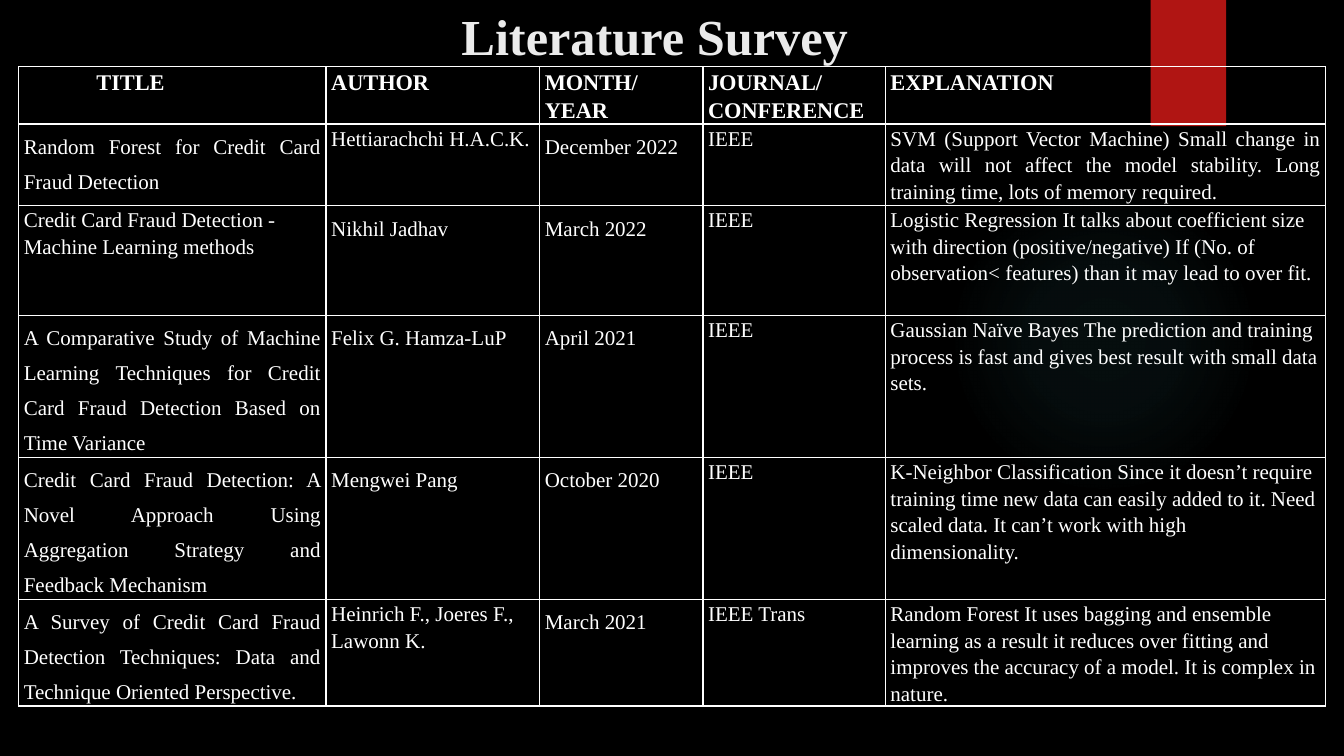
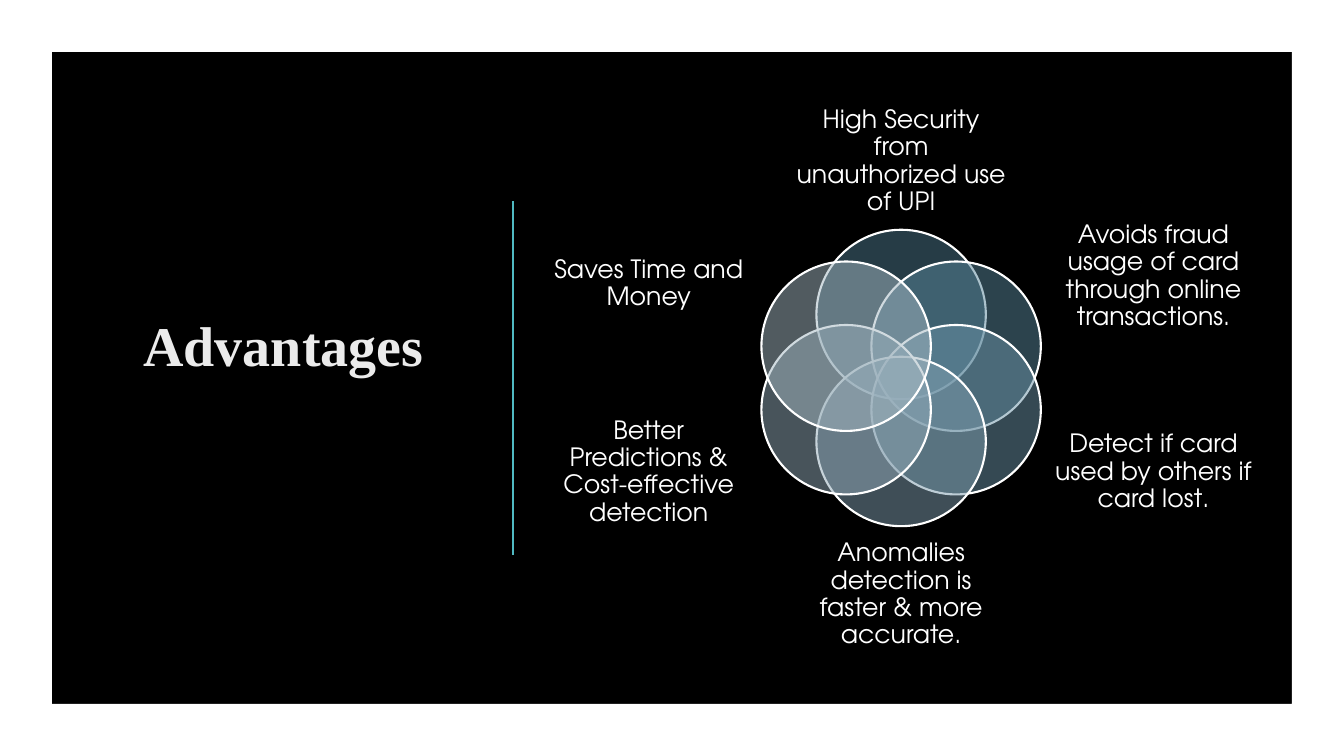
"""Build two slides on card fraud: a survey table and a ring of gains."""
from math import cos, radians, sin

from pptx import Presentation
from pptx.dml.color import RGBColor
from pptx.enum.shapes import MSO_CONNECTOR, MSO_SHAPE
from pptx.enum.text import MSO_ANCHOR, PP_ALIGN
from pptx.oxml import parse_xml
from pptx.util import Cm, Pt

LEFT, MID, FULL = PP_ALIGN.LEFT, PP_ALIGN.CENTER, PP_ALIGN.JUSTIFY
MIDDLE = MSO_ANCHOR.MIDDLE
OVAL, RECT = MSO_SHAPE.OVAL, MSO_SHAPE.RECTANGLE
STRAIGHT = MSO_CONNECTOR.STRAIGHT
NS = 'xmlns:a="http://schemas.openxmlformats.org/drawingml/2006/main"'

WIDE, HIGH = 33.87, 19.05
BLACK, WHITE, PALE = "000000", "FFFFFF", "EBEBEB"
TEAL, RED = "50B9C1", "B01513"
SERIF, SANS = "Times New Roman", "TeX Gyre Adventor"

COLS = [305, 212, 162, 181, 437]
ROWS = [57, 81, 109, 141, 141, 105]
SURVEY = [
    ("TITLE", "AUTHOR", "MONTH/\nYEAR", "JOURNAL/\nCONFERENCE", "EXPLANATION"),
    ("Random Forest for Credit Card Fraud Detection",
     "Hettiarachchi H.A.C.K.", "December 2022", "IEEE",
     "SVM (Support Vector Machine) Small change in data will not affect the "
     "model stability. Long training time, lots of memory required."),
    ("Credit Card Fraud Detection - Machine Learning methods",
     "Nikhil Jadhav", "March 2022", "IEEE",
     "Logistic Regression It talks about coefficient size with direction "
     "(positive/negative) If (No. of observation< features) than it may lead "
     "to over fit."),
    ("A Comparative Study of Machine Learning Techniques for Credit Card "
     "Fraud Detection Based on Time Variance",
     "Felix G. Hamza-LuP", "April 2021", "IEEE",
     "Gaussian Naïve Bayes The prediction and training process is fast and "
     "gives best result with small data sets."),
    ("Credit Card Fraud Detection: A Novel Approach Using Aggregation "
     "Strategy and Feedback Mechanism",
     "Mengwei Pang", "October 2020", "IEEE",
     "K-Neighbor Classification Since it doesn’t require training time new "
     "data can easily added to it. Need scaled data. It can’t work with high "
     "dimensionality."),
    ("A Survey of Credit Card Fraud Detection Techniques: Data and Technique "
     "Oriented Perspective.",
     "Heinrich F., Joeres F., Lawonn K.", "March 2021", "IEEE Trans",
     "Random Forest It uses bagging and ensemble learning as a result it "
     "reduces over fitting and improves the accuracy of a model. It is "
     "complex in nature."),
]
LOOSE = {0: (1, 3, 4, 5), 1: (2, 3, 4), 2: (1, 2, 3, 4, 5)}
HEAD_GAP, CELL_GAP, LOOSE_GAP = Pt(20.3), Pt(19), Pt(24.9)

GAINS = [
    ("High Security from unauthorized use of UPI",
     "4C788C", 0, -5.46, 5.33),
    ("Avoids fraud usage of card through online transactions.",
     "59869B", 6.36, -2.56, 5.05),
    ("Detect if card used by others if card lost.",
     "6A92A6", 6.36, 2.37, 5.05),
    ("Anomalies detection is faster & more accurate.",
     "7E9DAE", 0, 5.46, 5.33),
    ("Better Predictions & Cost-effective detection",
     "91A9B7", -6.36, 2.37, 5.05),
    ("Saves Time and Money",
     "A3B6C0", -6.36, -2.38, 5.05),
]


def paint(fill, tone):
    """Fill with a solid hex colour."""
    fill.solid()
    fill.fore_color.rgb = RGBColor.from_string(tone)


def cast(box):
    """Turn a box in centimetres into lengths."""
    return [Cm(side) for side in box]


def write(frame, text, font, size, tone, bold=False, align=LEFT, space=1.0):
    """Set the text of a frame and format its runs."""
    frame.text = text
    for line in frame.paragraphs:
        line.alignment = align
        line.line_spacing = space
        for run in line.runs:
            run.font.name = font
            run.font.size = Pt(size)
            run.font.bold = bold
            paint(run.font.fill, tone)


def add_text(shapes, box, text, inset=0, **look):
    """Place a wrapping text box with a given left inset."""
    frame = shapes.add_textbox(*cast(box)).text_frame
    frame.word_wrap = True
    frame.vertical_anchor = MIDDLE
    frame.margin_left = Cm(inset)
    frame.margin_right = frame.margin_top = frame.margin_bottom = 0
    write(frame, text, **look)


def add_title(slide, box, text, size, **place):
    """Place a slide title in the shared style."""
    add_text(slide.shapes, box, text, font=SERIF, size=size,
             tone=PALE, bold=True, **place)


def add_form(shapes, kind, box, tone):
    """Place a plain shape without line or shadow."""
    form = shapes.add_shape(kind, *cast(box))
    form.shadow.inherit = False
    paint(form.fill, tone)
    form.line.fill.background()
    return form


def find_fill(form):
    """Return the solid fill element of a shape."""
    return form.element.spPr.find("{*}solidFill")


def add_glow(slide, box):
    """Place a faint round glow that fades outward."""
    fill = find_fill(add_form(slide.shapes, OVAL, box, TEAL))
    stops = "".join(
        f'<a:gs pos="{spot}000"><a:srgbClr val="{TEAL}">'
        f'<a:alpha val="{alpha}000"/></a:srgbClr></a:gs>'
        for spot, alpha in [(0, 7), (36, 6), (69, 0), (100, 0)])
    fill.getparent().replace(fill, parse_xml(
        f'<a:gradFill {NS}><a:gsLst>{stops}</a:gsLst><a:path path="circle">'
        '<a:fillToRect l="50000" t="50000" r="50000" b="50000"/>'
        '</a:path></a:gradFill>'))


def rule_cell(cell):
    """Draw white borders round a clear cell."""
    props = cell._tc.get_or_add_tcPr()
    for side in "LRTB":
        props.append(parse_xml(
            f'<a:ln{side} {NS} w="12700"><a:solidFill>'
            f'<a:srgbClr val="{WHITE}"/></a:solidFill></a:ln{side}>'))
    cell.fill.background()


def add_survey(slide, box):
    """Place the survey table, sharing out the box by row and column."""
    table = slide.shapes.add_table(len(ROWS), len(COLS), *cast(box)).table
    table.first_row = table.horz_banding = False
    for col, share in zip(table.columns, COLS):
        col.width = Cm(box[2] * share / sum(COLS))
    for row, share in zip(table.rows, ROWS):
        row.height = Cm(box[3] * share / sum(ROWS))
    for i, texts in enumerate(SURVEY):
        for j, text in enumerate(texts):
            cell = table.cell(i, j)
            cell.margin_left = Cm(1.96 if i == j == 0 else 0.13)
            cell.margin_right = Cm(0.13)
            cell.margin_top = cell.margin_bottom = 0
            loose = i in LOOSE.get(j, ())
            spread = loose or (i, j) == (1, 4)
            tight = CELL_GAP if i else HEAD_GAP
            write(cell.text_frame, text, SERIF, 15 if i else 16, WHITE,
                  bold=i == 0, align=FULL if spread else LEFT,
                  space=LOOSE_GAP if loose else tight)
            rule_cell(cell)


def add_frame(slide, box, edge):
    """Place a white frame of even width inside the box."""
    x, y, w, h = box
    l, t, r, b = cast((x, y, x + w, y + h))
    pen = slide.shapes.build_freeform(l, t)
    pen.add_line_segments([(l, b), (r, b), (r, t)])
    l, t, r, b = cast((x + edge, y + edge, x + w - edge, y + h - edge))
    pen.move_to(r, b)
    pen.add_line_segments([(l, b), (l, t), (r, t)])
    form = pen.convert_to_shape()
    form.shadow.inherit = False
    paint(form.fill, WHITE)
    form.line.fill.background()


def add_rule(slide, box):
    """Place a teal line down the left edge of the box."""
    x, y, _, h = box
    rule = slide.shapes.add_connector(STRAIGHT, *cast((x, y, x, y + h)))
    rule.line.width = Pt(1.5)
    paint(rule.line.fill, TEAL)
    rule.element.spPr.append(parse_xml(f"<a:effectLst {NS}/>"))


def add_ring(slide, box, ring=1.6, size=4.27, tall=3.2):
    """Place a ring of clear discs with labels round the box centre."""
    x, y = box[0] + box[2] / 2, box[1] + box[3] / 2
    shapes = slide.shapes.add_group_shape().shapes
    for i, (text, tone, dx, dy, wide) in enumerate(GAINS):
        turn = radians(360 / len(GAINS) * i)
        left = x + ring * sin(turn) - size / 2
        top = y - ring * cos(turn) - size / 2
        disc = add_form(shapes, OVAL, (left, top, size, size), tone)
        find_fill(disc)[0].append(parse_xml(f'<a:alpha {NS} val="50000"/>'))
        paint(disc.line.fill, WHITE)
        disc.line.width = Pt(1.5)
        place = (x + dx - wide / 2, y + dy - tall / 2, wide, tall)
        add_text(shapes, place, text, font=SANS, size=18,
                 tone=WHITE, align=MID, space=0.9)


def add_slide(deck):
    """Add a blank slide on black."""
    slide = deck.slides.add_slide(deck.slide_layouts[6])
    paint(slide.background.fill, BLACK)
    return slide


def main():
    """Build and save the slides."""
    deck = Presentation()
    deck.slide_width, deck.slide_height = cast((WIDE, HIGH))

    slide = add_slide(deck)
    add_glow(slide, (23.9, 4.65, 7.82, 7.82))
    add_form(slide.shapes, RECT, (29, 0, 1.9, 3.18), RED)
    add_title(slide, (2.81, 0.05, 26.14, 1.7), "Literature Survey", 36,
              inset=8.82)
    add_survey(slide, (0.47, 1.68, 32.94, 16.1))

    slide = add_slide(deck)
    add_rule(slide, (12.93, 5.07, 0, 8.91))
    add_frame(slide, (0, 0, WIDE, HIGH), 1.31)
    add_title(slide, (2.25, 2.24, 9.78, 12.84), "Advantages", 40, align=MID)
    add_ring(slide, (13.82, 2.62, 17.78, 13.81))

    deck.save("out.pptx")


if __name__ == "__main__":
    main()
